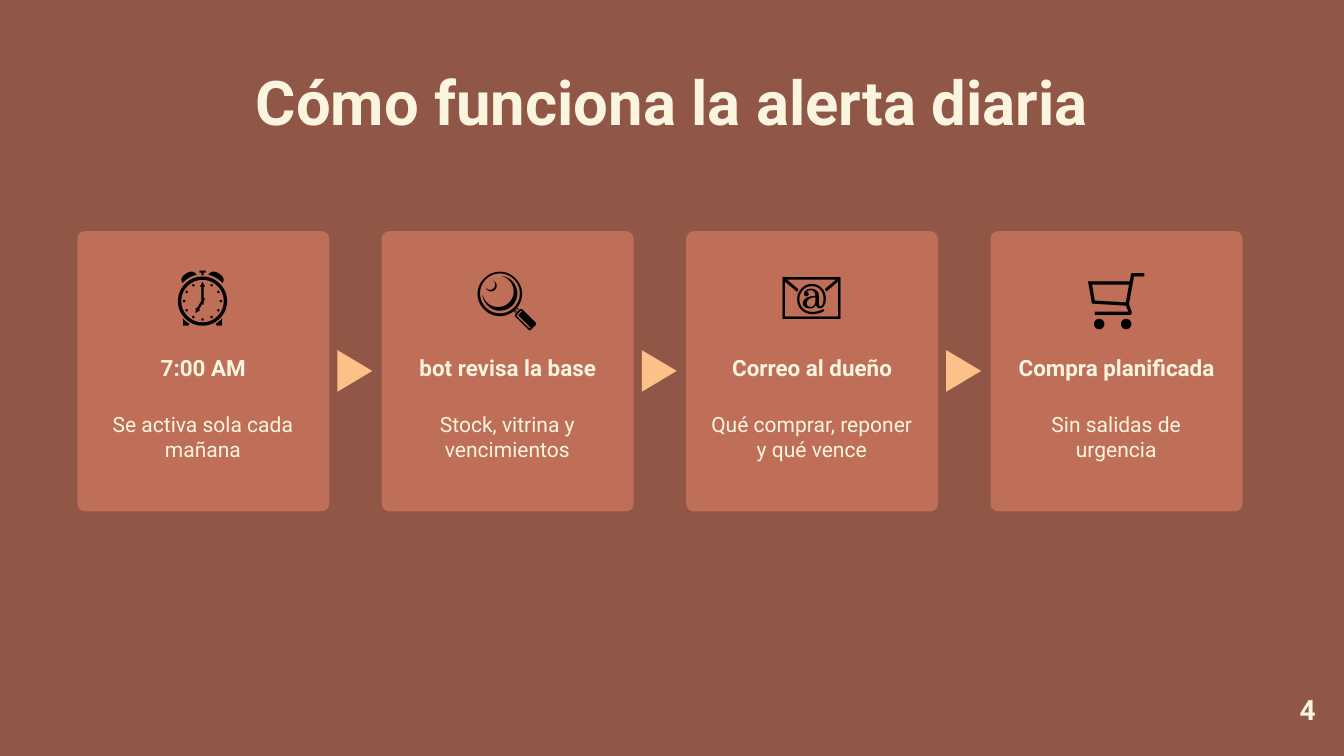
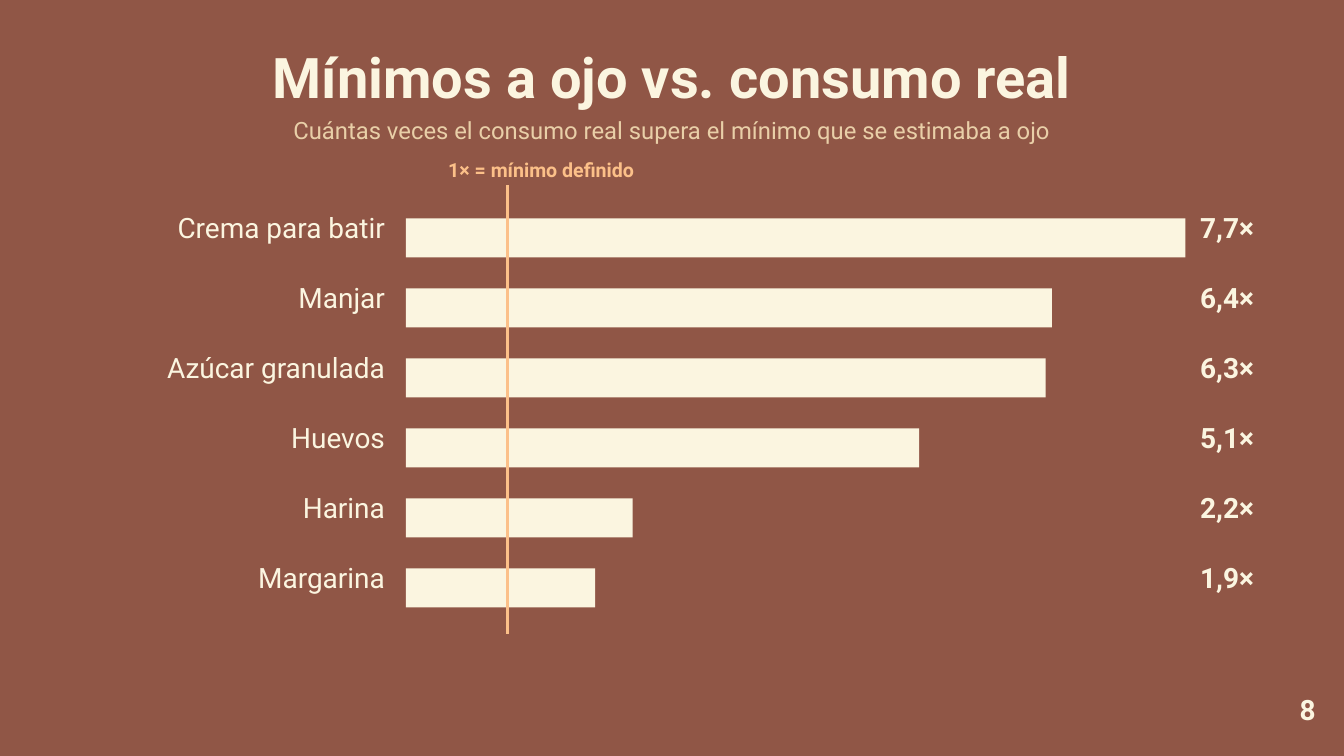
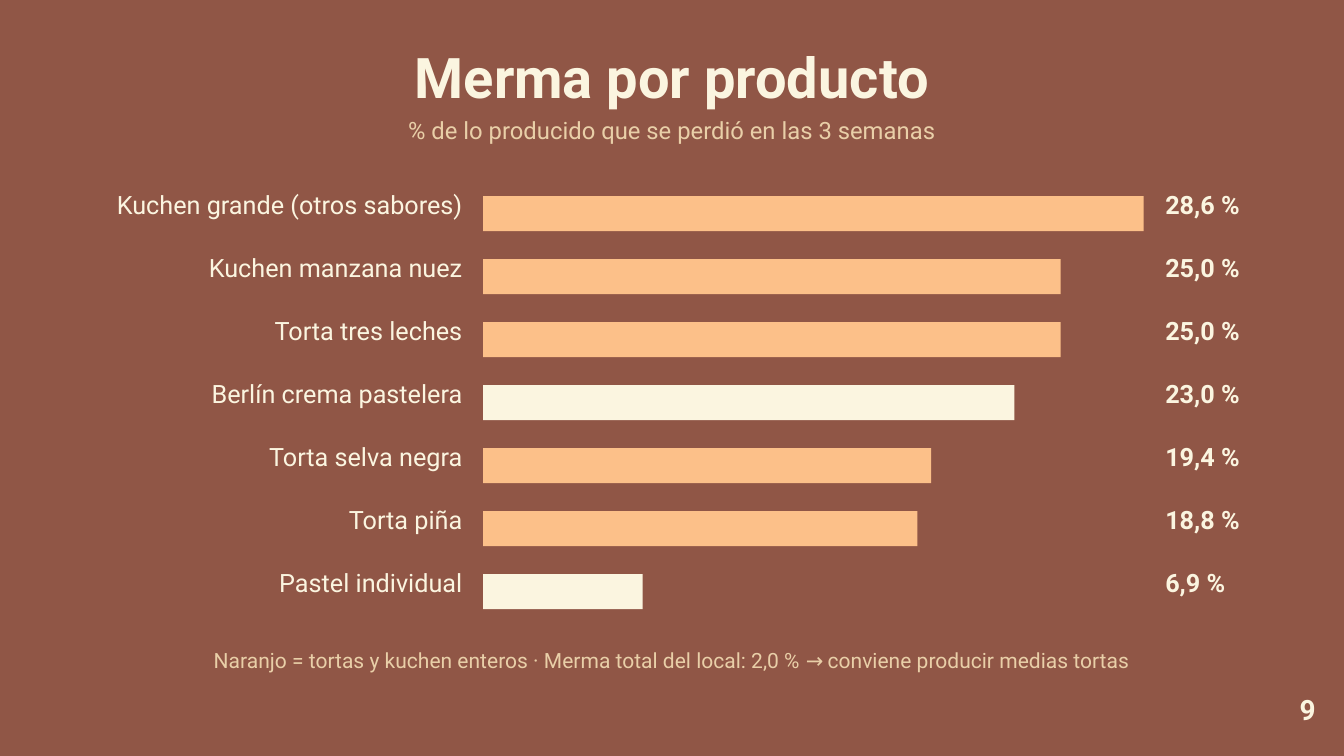
"""Build three slides on stock alerts, minimum levels and product waste."""
from lxml import etree
from pptx import Presentation
from pptx.dml.color import RGBColor
from pptx.enum.shapes import MSO_CONNECTOR, MSO_SHAPE
from pptx.enum.text import MSO_AUTO_SIZE, PP_ALIGN
from pptx.oxml.ns import qn
from pptx.util import Inches, Pt

STRAIGHT = MSO_CONNECTOR.STRAIGHT
RECTANGLE = MSO_SHAPE.RECTANGLE
ROUNDED = MSO_SHAPE.ROUNDED_RECTANGLE
TRIANGLE = MSO_SHAPE.ISOSCELES_TRIANGLE
FIT = MSO_AUTO_SIZE.SHAPE_TO_FIT_TEXT
LEFT, CENTER, RIGHT = PP_ALIGN.LEFT, PP_ALIGN.CENTER, PP_ALIGN.RIGHT

FONT = "Roboto"
WIDTH, HEIGHT = 20, 11.25
COLORS = {
    "background": "905646",
    "card": "BF6E57",
    "cream": "FBF5E0",
    "orange": "FCC089",
    "sand": "E9CFA8",
    "black": "000000",
}

STEPS = [
    ("⏰", "7:00 AM", "Se activa sola cada mañana"),
    ("🔍", "bot revisa la base", "Stock, vitrina y vencimientos"),
    ("📧", "Correo al dueño", "Qué comprar, reponer y qué vence"),
    ("🛒", "Compra planificada", "Sin salidas de urgencia"),
]
CONSUMPTION = [
    ("Crema para batir", 7.7, "cream"),
    ("Manjar", 6.38, "cream"),
    ("Azúcar granulada", 6.32, "cream"),
    ("Huevos", 5.07, "cream"),
    ("Harina", 2.24, "cream"),
    ("Margarina", 1.87, "cream"),
]
WASTE = [
    ("Kuchen grande (otros sabores)", 28.6, "orange"),
    ("Kuchen manzana nuez", 25.0, "orange"),
    ("Torta tres leches", 25.0, "orange"),
    ("Berlín crema pastelera", 23.0, "cream"),
    ("Torta selva negra", 19.4, "orange"),
    ("Torta piña", 18.8, "orange"),
    ("Pastel individual", 6.9, "cream"),
]


def color(name):
    """Return a palette colour."""
    return RGBColor.from_string(COLORS[name])


class Deck:
    """Hold the shared style and the current slide."""

    def __init__(self):
        """Open a wide deck with the shared background."""
        self.deck = Presentation()
        self.deck.slide_width = Inches(WIDTH)
        self.deck.slide_height = Inches(HEIGHT)
        fill = self.deck.slide_master.background.fill
        fill.solid()
        fill.fore_color.rgb = color("background")
        self.page = None

    def start(self, number, title, subtitle=None):
        """Add a slide with its title, optional subtitle and number."""
        self.page = self.deck.slides.add_slide(self.deck.slide_layouts[6])
        if subtitle:
            self.text([title], 0, 0.47, WIDTH, 1.16, 60, 84, bold=True)
            self.text([subtitle], 0, 1.65, WIDTH, 0.48, 25.5, 35.7, "sand")
        else:
            self.text([title], 0, 0.77, WIDTH, 1.27, 66, 92.4, bold=True)
        self.text([str(number)], 17.91, 10.22, 1.67, 0.58, 30, 42, bold=True, align=RIGHT)

    def text(self, lines, left, top, width, height, size, spacing,
             ink="cream", bold=False, align=CENTER):
        """Add a text box with one paragraph for each line."""
        box = self.page.shapes.add_textbox(
            Inches(left), Inches(top), Inches(width), Inches(height))
        frame = box.text_frame
        frame.margin_left = frame.margin_right = 0
        frame.margin_top = frame.margin_bottom = 0
        frame.text = "\n".join(lines)
        frame.word_wrap = True
        frame.auto_size = FIT
        for para in frame.paragraphs:
            para.alignment = align
            para.line_spacing = Pt(spacing)
            for span in para.runs:
                span.font.name = FONT
                span.font.size = Pt(size)
                span.font.bold = bold
                span.font.color.rgb = color(ink)

    def shape(self, kind, left, top, width, height, fill):
        """Add a flat preset shape without outline."""
        shape = self.page.shapes.add_shape(
            kind, Inches(left), Inches(top), Inches(width), Inches(height))
        shape.shadow.inherit = False
        shape.fill.solid()
        shape.fill.fore_color.rgb = color(fill)
        shape.line.fill.background()
        return shape

    def card(self, left, icon, heading, detail):
        """Add a step card."""
        card = self.shape(ROUNDED, left, 3.44, 3.75, 4.17, "card")
        card.adjustments[0] = 0.03
        self.text([icon], left + 0.21, 3.63, 3.33, 1.28, 67.5, 94.5, "black")
        self.text([heading], left + 0.21, 5.2, 3.33, 0.45, 24, 33.6, bold=True)
        self.text([detail], left + 0.31, 6.12, 3.12, 0.77, 22.5, 27)

    def pointer(self, left):
        """Add a triangle that points to the next card."""
        triangle = self.shape(TRIANGLE, left - 0.05, 5.26, 0.62, 0.52, "orange")
        triangle.rotation = 90

    def line(self, x, top, bottom):
        """Add a vertical reference line."""
        line = self.page.shapes.add_connector(
            STRAIGHT, Inches(x), Inches(top), Inches(x), Inches(bottom))
        line.line.color.rgb = color("orange")
        line.line.width = Pt(3)
        etree.SubElement(line._element.spPr, qn("a:effectLst"))

    def bars(self, rows, left, top, longest, thickness, pitch):
        """Add one bar per row, scaled to the largest value, with the pitch in points."""
        unit = longest / max(value for _, value, _ in rows)
        for index, (_, value, fill) in enumerate(rows):
            self.shape(RECTANGLE, left, top + index * pitch / 72, value * unit, thickness, fill)

    def labels(self, rows, suffix, top, size, pitch, name_span, value_span):
        """Add the columns of names and values beside the bars."""
        height = pitch * len(rows) / 72
        names = [name for name, _, _ in rows]
        values = [f"{value:.1f}".replace(".", ",") + suffix for _, value, _ in rows]
        for lines, (left, width), bold, align in (
                (names, name_span, False, RIGHT), (values, value_span, True, LEFT)):
            self.text(lines, left, top, width, height, size, pitch, bold=bold, align=align)


def main():
    """Build and save the slides."""
    show = Deck()

    show.start(4, "Cómo funciona la alerta diaria")
    for index, step in enumerate(STEPS):
        left = 1.15 + 4.53 * index
        show.card(left, *step)
        if index < len(STEPS) - 1:
            show.pointer(left + 3.87)

    show.start(8, "Mínimos a ojo vs. consumo real",
               "Cuántas veces el consumo real supera el mínimo que se estimaba a ojo")
    show.bars(CONSUMPTION, 6.04, 3.25, 11.6, 0.58, 75)
    show.labels(CONSUMPTION, "×", 2.59, 30, 75, (0.63, 5.1), (17.86, 1.88))
    show.line(7.55, 2.76, 9.43)
    show.text(["1× = mínimo definido"], 6.67, 2.29, 4.17, 0.4, 21, 29.4,
              "orange", bold=True, align=LEFT)

    show.start(9, "Merma por producto", "% de lo producido que se perdió en las 3 semanas")
    show.bars(WASTE, 7.19, 2.92, 9.83, 0.52, 67.5)
    show.labels(WASTE, " %", 2.33, 27, 67.5, (0.42, 6.46), (17.34, 2.08))
    show.text(["Naranjo = tortas y kuchen enteros · Merma total del local: 2,0 % → "
               "conviene producir medias tortas"], 0, 9.57, WIDTH, 0.44, 22.5, 31.5, "sand")

    show.deck.save("out.pptx")


if __name__ == "__main__":
    main()
